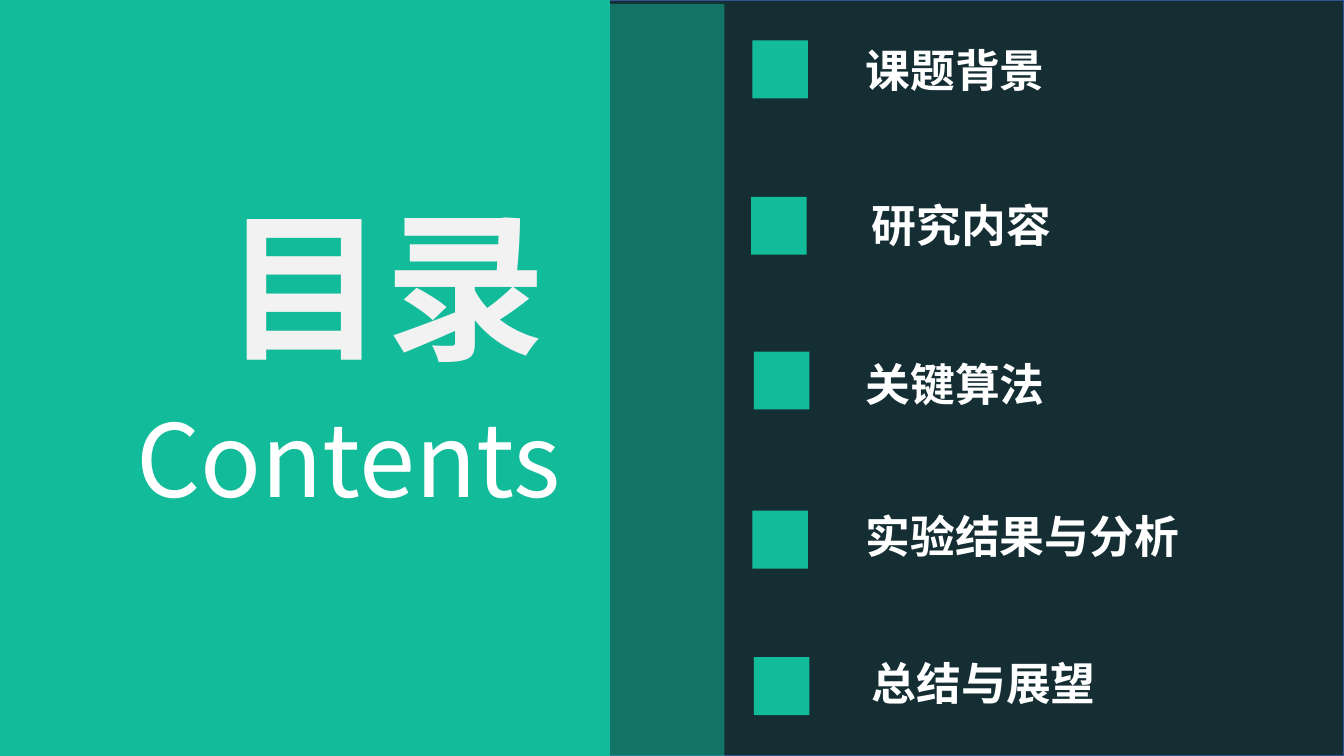
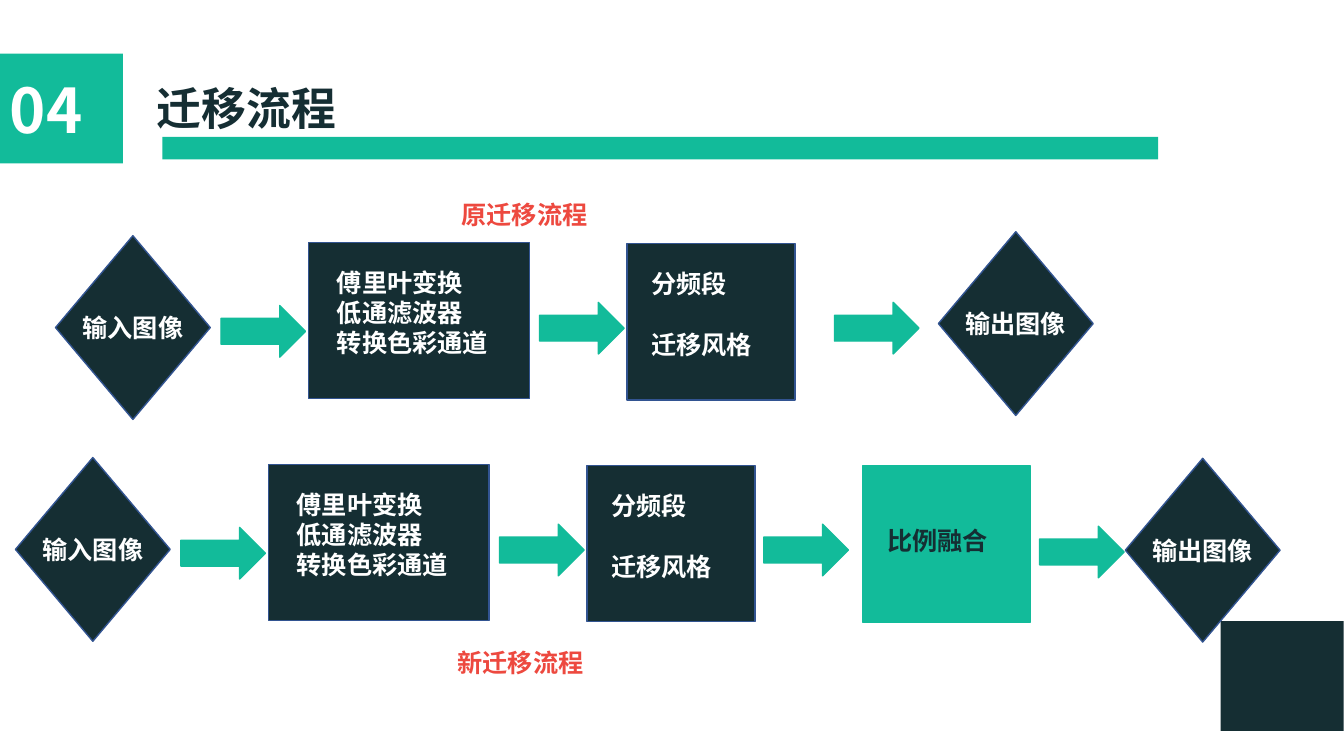
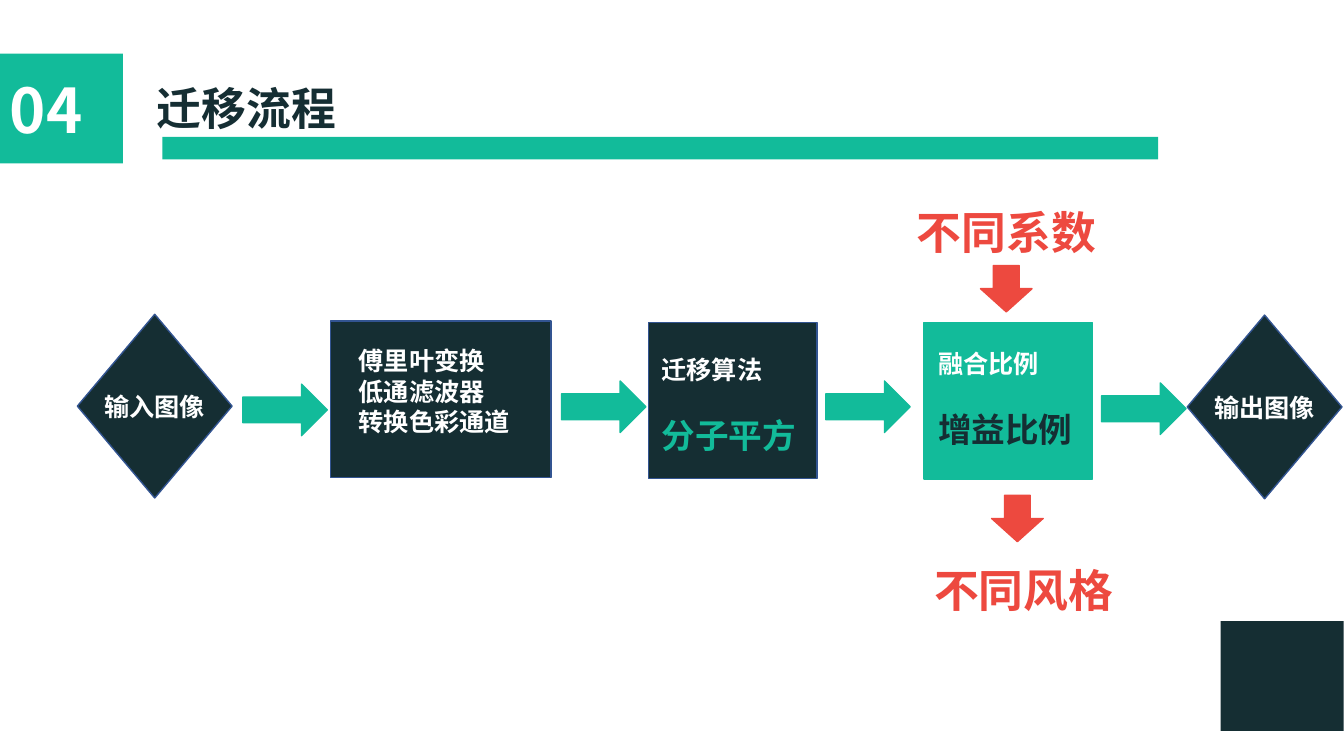
from pptx import Presentation
from pptx.dml.color import RGBColor
from pptx.enum.shapes import MSO_SHAPE
from pptx.enum.text import MSO_ANCHOR, PP_ALIGN
from pptx.oxml.ns import qn
from pptx.util import Cm, Pt
from lxml import etree

RECT = MSO_SHAPE.RECTANGLE
DIAMOND = MSO_SHAPE.DIAMOND
RIGHT_ARROW = MSO_SHAPE.RIGHT_ARROW
DOWN_ARROW = MSO_SHAPE.DOWN_ARROW
TOP, MIDDLE = MSO_ANCHOR.TOP, MSO_ANCHOR.MIDDLE
LEFT, CENTER = PP_ALIGN.LEFT, PP_ALIGN.CENTER

FONT = "Noto Sans CJK SC"
GREEN, DARK, RED = "12BB9A", "152E33", "ED493F"
WHITE, PALE, BLUE = "FFFFFF", "F2F2F2", "325491"
SLIDE_W, SLIDE_H = 33.87, 19.05

FOURIER = ["傅里叶变换", "低通滤波器", "转换色彩通道"]


def color(value):
    return RGBColor.from_string(value)


def style(p, size, fill, bold=True, align=LEFT):
    p.alignment = align
    p.font.name = FONT
    p.font.size = Pt(size)
    p.font.bold = bold
    p.font.color.rgb = color(fill)
    props = p.font._element
    latin = props.find(qn("a:latin"))
    ea = etree.Element(qn("a:ea"), typeface=FONT)
    latin.addnext(ea)
    for r in p.runs:
        r.font.name = FONT
        r.font._element.find(qn("a:latin")).addnext(
            etree.Element(qn("a:ea"), typeface=FONT))


def add_shape(s, kind, x, y, w, h, fill, line=None):
    sp = s.shapes.add_shape(kind, Cm(x), Cm(y), Cm(w), Cm(h))
    sp.shadow.inherit = False
    sp.fill.solid()
    sp.fill.fore_color.rgb = color(fill)
    if line:
        sp.line.color.rgb = color(line)
        sp.line.width = Pt(1)
    else:
        sp.line.fill.background()
    return sp


def add_text(s, x, y, w, h, text, size, fill, bold=True):
    tf = s.shapes.add_textbox(Cm(x), Cm(y), Cm(w), Cm(h)).text_frame
    tf.word_wrap = True
    p = tf.paragraphs[0]
    p.text = text
    style(p, size, fill, bold)


def fill_box(sp, lines, inset, gap=0):
    tf = sp.text_frame
    tf.word_wrap = True
    tf.vertical_anchor = TOP
    tf.margin_left, tf.margin_top = Cm(inset[0]), Cm(inset[1])
    tf.margin_right = tf.margin_bottom = 0
    for i, (text, size, fill) in enumerate(lines):
        p = tf.paragraphs[0] if i == 0 else tf.add_paragraph()
        p.text = text
        if i:
            p.space_before = Pt(gap)
        style(p, size, fill)


def add_diamond(s, x, y, text):
    sp = add_shape(s, DIAMOND, x, y, 3.9, 4.63, DARK, BLUE)
    tf = sp.text_frame
    tf.word_wrap = False
    tf.vertical_anchor = MIDDLE
    p = tf.paragraphs[0]
    p.text = text
    style(p, 18, WHITE, align=CENTER)


def add_arrow(s, x, y):
    add_shape(s, RIGHT_ARROW, x, y, 2.13, 1.3, GREEN, GREEN)


def add_flow(s, x, y, transfer, transfer_inset, fusion=None, fusion_inset=None):
    add_diamond(s, x, y, "输入图像")
    fourier = add_shape(s, RECT, x + 6.38, y + 0.17, 5.56, 3.94, DARK, BLUE)
    fill_box(fourier, [(text, 18, WHITE) for text in FOURIER], (0.71, 0.62))
    step = add_shape(s, RECT, x + 14.4, y + 0.2, 4.24, 3.94, DARK, BLUE)
    fill_box(step, transfer, transfer_inset, 22)
    add_arrow(s, x + 4.17, y + 1.76)
    add_arrow(s, x + 12.2, y + 1.68)
    if fusion:
        step = add_shape(s, RECT, x + 21.34, y + 0.21, 4.24, 3.94, GREEN, GREEN)
        fill_box(step, fusion, fusion_inset, 22)
        add_arrow(s, x + 18.86, y + 1.68)
        add_arrow(s, x + 25.81, y + 1.73)
        add_diamond(s, x + 27.97, y + 0.02, "输出图像")
    else:
        add_arrow(s, x + 19.63, y + 1.68)
        add_diamond(s, x + 22.25, y - 0.1, "输出图像")


def add_slide(prs):
    return prs.slides.add_slide(prs.slide_layouts[6])


def add_content_slide(prs, number, title):
    s = add_slide(prs)
    badge = add_shape(s, RECT, 0, 1.35, 3.1, 2.77, GREEN)
    fill_box(badge, [(number, 44, WHITE)], (0.25, 0))
    badge.text_frame.vertical_anchor = MIDDLE
    add_text(s, 3.7, 1.9, 5.1, 1.62, title, 32, DARK)
    add_shape(s, RECT, 30.76, 15.65, 3.1, 2.77, DARK)
    add_shape(s, RECT, 4.09, 3.45, 25.1, 0.57, GREEN)
    return s


def add_entry(s, y, marker_x, label_x, label_dy, text):
    add_shape(s, RECT, marker_x, y, 1.4, 1.46, GREEN)
    add_text(s, label_x, y + label_dy, 9, 1.62, text, 32, WHITE)


def contents_slide(prs):
    s = add_slide(prs)
    add_shape(s, RECT, 0, 0, SLIDE_W, SLIDE_H, DARK, BLUE)
    band = add_shape(s, RECT, 1.68, 0.1, 16.58, SLIDE_H - 0.1, GREEN)
    rgb = band.fill._xPr.find(qn("a:solidFill")).find(qn("a:srgbClr"))
    etree.SubElement(rgb, qn("a:alpha"), val="50000")
    add_shape(s, RECT, 0, 0, 15.37, SLIDE_H, GREEN)
    add_text(s, 5.4, 4.57, 9.5, 5.18, "目录", 115, PALE)
    add_text(s, 3.18, 9.88, 12, 3.33, "Contents", 72, WHITE, False)
    for entry in [
        (1.02, 18.96, 21.56, -0.08, "课题背景"),
        (4.96, 18.93, 21.72, -0.1, "研究内容"),
        (8.86, 19, 21.56, 0, "关键算法"),
        (12.87, 18.96, 21.56, -0.17, "实验结果与分析"),
        (16.56, 19, 21.72, -0.15, "总结与展望"),
    ]:
        add_entry(s, *entry)


def comparison_slide(prs):
    s = add_content_slide(prs, "04", "迁移流程")
    transfer = [("分频段", 18, WHITE), ("迁移风格", 18, WHITE)]
    add_flow(s, 1.4, 5.94, transfer, (0.61, 0.63))
    add_flow(s, 0.39, 11.53, transfer, (0.61, 0.63),
             [("比例融合", 18, DARK)], (0.63, 1.5))
    add_text(s, 11.38, 4.9, 4.42, 1.02, "原迁移流程", 18, RED)
    add_text(s, 11.28, 16.18, 4.42, 1.02, "新迁移流程", 18, RED)


def improvement_slide(prs):
    s = add_content_slide(prs, "04", "迁移流程")
    add_flow(s, 1.95, 7.92,
             [("迁移算法", 18, WHITE), ("分子平方", 24, GREEN)], (0.32, 0.81),
             [("融合比例", 18, WHITE), ("增益比例", 24, DARK)], (0.35, 0.64))
    add_text(s, 22.86, 5.03, 6.27, 1.62, "不同系数", 32, RED)
    add_text(s, 23.29, 14.05, 6.27, 1.62, "不同风格", 32, RED)
    for x, y in [(24.71, 6.69), (24.99, 12.48)]:
        add_shape(s, DOWN_ARROW, x, y, 1.3, 1.17, RED, RED)


def main():
    prs = Presentation()
    prs.slide_width, prs.slide_height = Cm(SLIDE_W), Cm(SLIDE_H)
    contents_slide(prs)
    comparison_slide(prs)
    improvement_slide(prs)
    prs.save("out.pptx")


if __name__ == "__main__":
    main()
